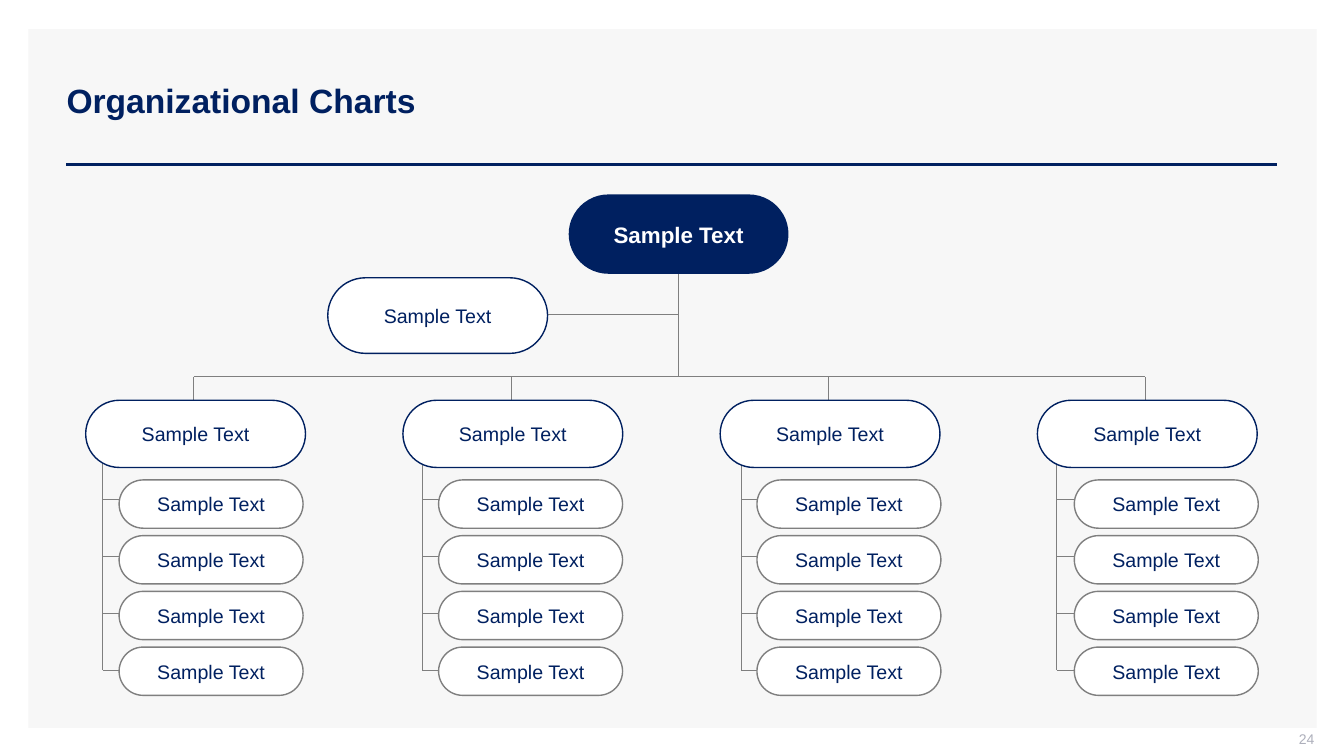
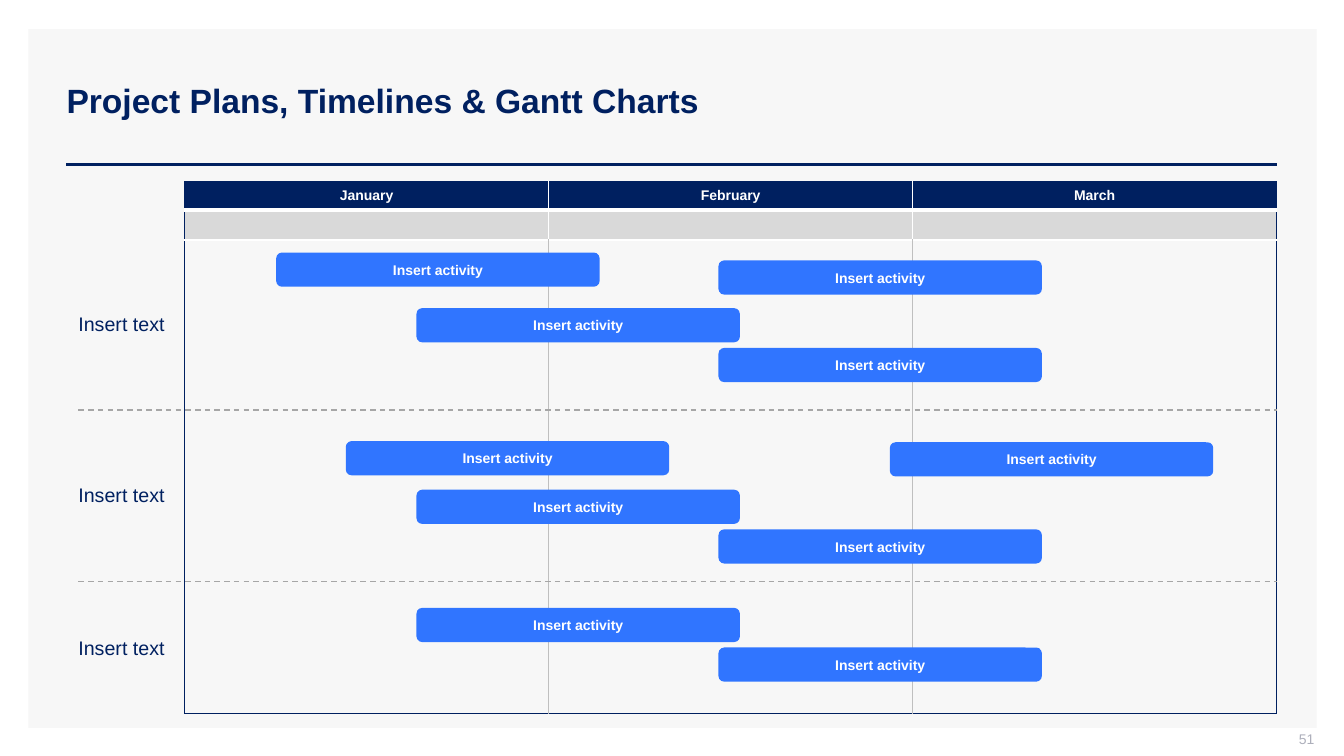
from lxml import etree
from pptx import Presentation
from pptx import util as u
from pptx.dml.color import RGBColor
from pptx.enum import dml, shapes, text
from pptx.oxml.ns import qn

Pt = u.Pt
FONT = "Arial"
COLORS = {
    "navy": "002060", "blue": "3075FF", "white": "FFFFFF", "panel": "F7F7F7",
    "line": "7F7F7F", "dash": "A6A6A6", "grid": "BFBFBF", "band": "D9D9D9",
    "number": "ADAFBB",
}
LEFT, CENTER, RIGHT = text.PP_ALIGN.LEFT, text.PP_ALIGN.CENTER, text.PP_ALIGN.RIGHT
MIDDLE, TOP = text.MSO_ANCHOR.MIDDLE, text.MSO_ANCHOR.TOP


def rgb(name):
    return RGBColor.from_string(COLORS[name])


def set_text(tf, words, size, color, bold=False, align=CENTER, anchor=MIDDLE,
             insets=None, spacing=None):
    tf.word_wrap = True
    tf.vertical_anchor = anchor
    if insets:
        tf.margin_left, tf.margin_top, tf.margin_right, tf.margin_bottom = map(Pt, insets)
    p = tf.paragraphs[0]
    p.alignment = align
    if spacing:
        p.line_spacing = spacing
    r = p.add_run()
    r.text = words
    r.font.name, r.font.size, r.font.bold = FONT, Pt(size), bold
    r.font.color.rgb = rgb(color)


def add_box(s, kind, x, y, w, h, fill, line=None, radius=None):
    sp = s.shapes.add_shape(kind, Pt(x), Pt(y), Pt(w), Pt(h))
    sp.shadow.inherit = False
    sp.fill.solid()
    sp.fill.fore_color.rgb = rgb(fill)
    if line:
        sp.line.color.rgb = rgb(line)
        sp.line.width = Pt(1)
    else:
        sp.line.fill.background()
    if radius is not None:
        sp.adjustments[0] = radius
    return sp


def add_line(s, x1, y1, x2, y2, color="line", width=0.5, dashed=False):
    c = s.shapes.add_connector(shapes.MSO_CONNECTOR.STRAIGHT, Pt(x1), Pt(y1), Pt(x2), Pt(y2))
    c.line.color.rgb = rgb(color)
    c.line.width = Pt(width)
    if dashed:
        c.line.dash_style = dml.MSO_LINE.DASH
    etree.SubElement(c._element.spPr, qn("a:effectLst"))


def add_label(s, x, y, w, h, words, size, color, **style):
    sp = s.shapes.add_textbox(Pt(x), Pt(y), Pt(w), Pt(h))
    set_text(sp.text_frame, words, size, color, **style)


def add_pill(s, x, y, w, h, line="navy"):
    sp = add_box(s, shapes.MSO_SHAPE.ROUNDED_RECTANGLE, x, y, w, h, "white", line, 0.5)
    set_text(sp.text_frame, "Sample Text", 14, "navy")


def add_bar(s, x, y):
    sp = add_box(s, shapes.MSO_SHAPE.ROUNDED_RECTANGLE, x, y, 231, 24.4, "blue")
    set_text(sp.text_frame, "Insert activity", 10, "white", bold=True,
             insets=(0, 3, 0, 3), spacing=Pt(12))


def add_base_slide(prs, title, number):
    """Slide with panel, title, rule and page number."""
    s = prs.slides.add_slide(prs.slide_layouts[5])
    panel = add_box(s, shapes.MSO_SHAPE.RECTANGLE, 20.2, 20.9, 920.2, 499, "panel")
    s.shapes._spTree.insert(2, panel._element)
    add_line(s, 47.5, 117.4, 912.2, 117.4, "navy", 2)
    sp = s.shapes.title
    sp.left, sp.top, sp.width, sp.height = Pt(40.3), Pt(28.8), Pt(871.9), Pt(85.7)
    set_text(sp.text_frame, title, 24, "navy", bold=True, align=LEFT)
    add_label(s, 722.9, 522, 216, 15.1, number, 10, "number", align=RIGHT,
              insets=(7.2, 0, 0, 3.6))
    return s


def add_border(cell, side, color, width):
    tcPr = cell._tc.get_or_add_tcPr()
    ln = etree.SubElement(tcPr, qn("a:ln" + side), w=str(Pt(width)))
    fill = etree.SubElement(ln, qn("a:solidFill"))
    etree.SubElement(fill, qn("a:srgbClr"), val=COLORS[color])


def add_calendar(s, months):
    widths, heights = [260] * len(months), [20, 21.6, 338.4]
    shape = s.shapes.add_table(len(heights), len(widths), Pt(131.9), Pt(129.8),
                               Pt(sum(widths)), Pt(sum(heights)))
    table = shape.table
    table.first_row = table.horz_banding = False
    for col, width in zip(table.columns, widths):
        col.width = Pt(width)

    outer = ("navy", 0.75)
    inner = [("white", 1), ("white", 1), ("grid", 0.75)]
    levels = [outer, ("white", 3), ("white", 1), outer]
    fills = ["navy", "band", None]
    for i, height in enumerate(heights):
        table.rows[i].height = Pt(height)
        for j, month in enumerate(months):
            cell = table.cell(i, j)
            add_border(cell, "L", *(inner[i] if j else outer))
            add_border(cell, "R", *(inner[i] if j < len(months) - 1 else outer))
            add_border(cell, "T", *levels[i])
            add_border(cell, "B", *levels[i + 1])
            if fills[i]:
                cell.fill.solid()
                cell.fill.fore_color.rgb = rgb(fills[i])
            else:
                cell.fill.background()
            cell.margin_left = cell.margin_right = Pt(2.9)
            cell.margin_top = cell.margin_bottom = Pt(0)
            cell.vertical_anchor = MIDDLE
            if i == 0:
                p = cell.text_frame.paragraphs[0]
                p.alignment = CENTER
                r = p.add_run()
                r.text = month
                r.font.name, r.font.size, r.font.bold = FONT, Pt(10), True
                r.font.color.rgb = rgb("white")


def build_org_chart(prs):
    s = add_base_slide(prs, "Organizational Charts", "24")
    pill_w, step, bus_y, root_x = 157, 226.6, 269.2, 484.6
    stems = [138.4 + step * i for i in range(4)]
    # Trunk and team left edges of each branch
    branches = [(73.4, 85.1), (301.7, 313.3), (529.2, 540.7), (754.8, 767.4)]

    # Connecting lines
    add_line(s, stems[0], bus_y, stems[-1], bus_y)
    add_line(s, root_x, 194.4, root_x, bus_y)
    add_line(s, 371.5, 224.8, root_x, 224.8)
    for stem, (trunk, team) in zip(stems, branches):
        add_line(s, stem, bus_y, stem, 288.7)
        add_line(s, trunk, 331.2, trunk, 478.4)
        for row in range(4):
            y = 356.4 + 40.7 * row
            add_line(s, trunk, y, team, y)

    # Root and assistant
    root = add_box(s, shapes.MSO_SHAPE.ROUNDED_RECTANGLE, 406.2, 138.9, pill_w, 56.7,
                   "navy", radius=0.5)
    set_text(root.text_frame, "Sample Text", 16, "white", bold=True)
    add_pill(s, 234.1, 198.4, pill_w, 54)

    # Branch heads and teams
    for i, (_, team) in enumerate(branches):
        add_pill(s, 61.2 + step * i, 285.9, pill_w, 48)
        for row in range(4):
            add_pill(s, team, 342.8 + 39.8 * row, 131.4, 34.5, "line")


def build_gantt(prs):
    s = add_base_slide(prs, "Project Plans, Timelines & Gantt Charts", "51")
    add_calendar(s, ["January", "February", "March"])

    # Workstream labels and dividers
    for y in (224.6, 347, 456.5):
        add_label(s, 56, y, 72, 15.1, "Insert text", 14, "navy", align=LEFT,
                  anchor=TOP, insets=(0, 0, 0, 0), spacing=0.9)
    for y in (293, 415.5):
        add_line(s, 56, y, 912.2, y, "dash", 1, dashed=True)

    # Activities
    for x, y in [(197.3, 180.4), (297.5, 220.1), (513.2, 248.5), (513.2, 186),
                 (247, 315.1), (297.5, 349.8), (513.2, 378.1), (635.6, 315.9),
                 (297.5, 434.2), (513.2, 462.5)]:
        add_bar(s, x, y)


def main():
    prs = Presentation()
    prs.slide_width, prs.slide_height = Pt(960), Pt(540)
    build_org_chart(prs)
    build_gantt(prs)
    prs.save("out.pptx")


if __name__ == "__main__":
    main()
